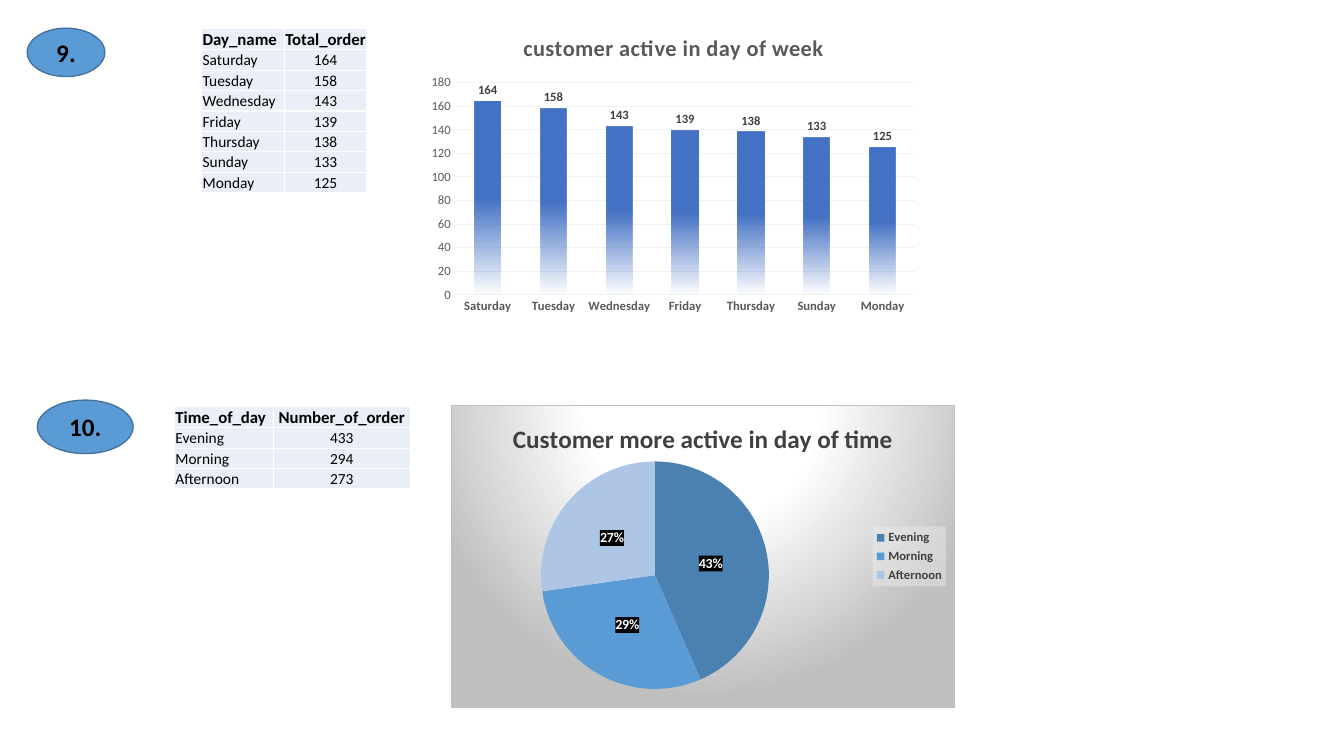
from lxml import etree
from pptx import Presentation
from pptx.chart.data import CategoryChartData
from pptx.dml.color import RGBColor
from pptx.enum.chart import XL_CHART_TYPE, XL_LABEL_POSITION, XL_LEGEND_POSITION, XL_TICK_MARK
from pptx.enum.shapes import MSO_SHAPE
from pptx.enum.text import MSO_ANCHOR, PP_ALIGN
from pptx.oxml import parse_xml
from pptx.oxml.ns import qn
from pptx.util import Inches, Pt

COLUMN, PIE = XL_CHART_TYPE.COLUMN_CLUSTERED, XL_CHART_TYPE.PIE
ABOVE, MIDDLE = XL_LABEL_POSITION.OUTSIDE_END, XL_LABEL_POSITION.CENTER
NO_TICK = XL_TICK_MARK.NONE
LEFT, CENTER = PP_ALIGN.LEFT, PP_ALIGN.CENTER
FONT = "Calibri"
NAMESPACES = ('xmlns:a="http://schemas.openxmlformats.org/drawingml/2006/main" '
              'xmlns:c="http://schemas.openxmlformats.org/drawingml/2006/chart"')

# Content
BADGES = [("9.", (0.27, 0.28, 0.77, 0.48)), ("10.", (0.37, 3.97, 0.95, 0.53))]
DAY_HEADER = ("Day_name", "Total_order")
DAYS = [("Saturday", 164), ("Tuesday", 158), ("Wednesday", 143), ("Friday", 139),
        ("Thursday", 138), ("Sunday", 133), ("Monday", 125)]
TIME_HEADER = ("Time_of_day", "Number_of_order")
TIMES = [("Evening", 433), ("Morning", 294), ("Afternoon", 273)]
TIME_SHARES = [("Evening", 43), ("Morning", 29), ("Afternoon", 27)]
SLICE_COLORS = ["4B81B1", "5B9BD5", "ADC6E5"]
TABLES = [(DAY_HEADER, DAYS, (2, 0.28), (0.82, 0.82), 1.62),
          (TIME_HEADER, TIMES, (1.73, 4.03), (0.98, 1.36), 0.81)]


def color(value):
    return RGBColor.from_string(value)


def style_font(font, size, value, bold=False):
    font.name, font.size, font.bold = FONT, Pt(size), bold
    font.color.rgb = color(value)


def solid_xml(value, alpha=100):
    return (f'<a:solidFill><a:srgbClr val="{value}">'
            f'<a:alpha val="{alpha * 1000}"/></a:srgbClr></a:solidFill>')


def gradient_xml(stops, direction):
    marks = "".join(f'<a:gs pos="{place * 1000}"><a:srgbClr val="{value}">'
                    f'<a:alpha val="{alpha * 1000}"/></a:srgbClr></a:gs>'
                    for place, value, alpha in stops)
    return f'<a:gradFill rotWithShape="1"><a:gsLst>{marks}</a:gsLst>{direction}</a:gradFill>'


def element(tag, inner):
    return parse_xml(f"<{tag} {NAMESPACES}>{inner}</{tag}>")


def add_badge(page, text, place):
    badge = page.shapes.add_shape(MSO_SHAPE.OVAL, *map(Inches, place))
    badge.shadow.inherit = False
    badge.fill.solid()
    badge.fill.fore_color.rgb = color("5B9BD5")
    badge.line.color.rgb = color("43739E")
    badge.line.width = Pt(1)
    badge.text_frame.vertical_anchor = MSO_ANCHOR.MIDDLE
    para = badge.text_frame.paragraphs[0]
    para.alignment = CENTER
    span = para.add_run()
    span.text = text
    style_font(span.font, 18, "000000", True)


def fill_cell(cell, text, size, bold, alignment):
    cell.margin_left = cell.margin_right = cell.margin_top = Inches(0.01)
    cell.margin_bottom = 0
    cell.vertical_anchor = MSO_ANCHOR.BOTTOM
    cell.fill.solid()
    cell.fill.fore_color.rgb = color("EAEFF7")
    properties = cell._tc.get_or_add_tcPr()
    for index, side in enumerate(("lnL", "lnR", "lnT", "lnB")):
        border = element(f"a:{side}", solid_xml("FFFFFF"))
        border.set("w", str(Pt(1)))
        properties.insert(index, border)
    para = cell.text_frame.paragraphs[0]
    para.alignment = alignment
    span = para.add_run()
    span.text = str(text)
    style_font(span.font, size, "000000", bold)


def add_order_table(page, header, records, corner, widths, height):
    rows = [header, *records]
    table = page.shapes.add_table(len(rows), len(widths), *map(Inches, corner),
                                  Inches(sum(widths)), Inches(height)).table
    table.first_row = table.horz_banding = False
    for column, width in zip(table.columns, widths):
        column.width = Inches(width)
    for row_index, values in enumerate(rows):
        table.rows[row_index].height = Inches(height / len(rows))
        is_header = row_index == 0
        for column_index, value in enumerate(values):
            fill_cell(table.cell(row_index, column_index), value, 12 if is_header else 11,
                      is_header, CENTER if column_index else LEFT)


def add_order_chart(page, kind, records, place, title, title_size, title_color):
    data = CategoryChartData()
    data.categories = [name for name, _ in records]
    data.add_series("Series 1", [value for _, value in records])
    chart = page.shapes.add_chart(kind, *map(Inches, place), data).chart
    style_font(chart.font, 10, "000000")
    chart.has_title = True
    chart.chart_title.include_in_layout = False
    span = chart.chart_title.text_frame.paragraphs[0].add_run()
    span.text = title
    style_font(span.font, title_size, title_color, True)
    chart.has_legend = False
    chart.plots[0].has_data_labels = True
    return chart, span


def style_axis(axis, bold):
    axis.major_tick_mark = axis.minor_tick_mark = NO_TICK
    axis.format.line.fill.background()
    style_font(axis.tick_labels.font, 9, "595959", bold)


def add_day_chart(page):
    chart, title = add_order_chart(page, COLUMN, DAYS, (4.18, 0.17, 5, 3),
                                   "customer active in day of week", 16, "595959")
    title.font._element.set("spc", "40")
    plot = chart.plots[0]
    plot.gap_width = 150
    plot.vary_by_categories = False
    style_axis(chart.category_axis, True)
    axis = chart.value_axis
    style_axis(axis, False)
    axis.minimum_scale, axis.maximum_scale, axis.major_unit = 0, 180, 20
    axis.has_major_gridlines = True
    axis.major_gridlines.format.line.color.rgb = color("F2F2F2")
    axis.major_gridlines.format.line.width = Pt(0.75)
    labels = plot.data_labels
    labels.show_value = True
    labels.position = ABOVE
    style_font(labels.font, 9, "404040", True)
    # Bars fade out towards the axis
    bars = plot.series[0].format.fill
    bars.solid()
    solid = plot.series[0]._element.find(qn("c:spPr")).find(qn("a:solidFill"))
    fade = gradient_xml([(50, "4472C4", 100), (100, "4472C4", 0)], '<a:lin ang="5400000" scaled="0"/>')
    solid.getparent().replace(solid, element("c:spPr", fade)[0])


def add_time_chart(page):
    chart, _ = add_order_chart(page, PIE, TIME_SHARES, (4.47, 4.02, 5, 3),
                               "Customer more active in day of time", 18, "404040")
    plot = chart.plots[0]
    for index, value in enumerate(SLICE_COLORS):
        fill = plot.series[0].points[index].format.fill
        fill.solid()
        fill.fore_color.rgb = color(value)
    labels = plot.data_labels
    labels.show_percentage, labels.show_value = True, False
    labels.number_format, labels.number_format_is_linked = "0%", False
    labels.position = MIDDLE
    style_font(labels.font, 10, "FFFFFF", True)
    chart.has_legend = True
    chart.legend.position = XL_LEGEND_POSITION.RIGHT
    chart.legend.include_in_layout = False
    style_font(chart.legend.font, 9, "404040", True)
    # Translucent panels behind labels and legend
    for part, value, alpha in ((labels, "000000", 75), (chart.legend, "F2F2F2", 39)):
        panel = element("c:spPr", solid_xml(value, alpha))
        part._element.find(qn("c:txPr")).addprevious(panel)
    # Radial backdrop with a thin border
    glow = gradient_xml([(0, "FFFFFF", 100), (39, "FFFFFF", 100), (100, "BFBFBF", 100)],
                        '<a:path path="circle"><a:fillToRect l="50000" t="-80000" '
                        'r="50000" b="180000"/></a:path>')
    border = f'<a:ln w="{Pt(0.75)}">{solid_xml("BFBFBF")}</a:ln>'
    space = chart._chartSpace
    space.find(qn("c:chart")).addnext(element("c:spPr", glow + border))
    # Fixed place of the pie
    area = space.find(qn("c:chart")).find(qn("c:plotArea"))
    for layout in area.findall(qn("c:layout")):
        area.remove(layout)
    manual = element("c:layout", "<c:manualLayout/>")
    settings = (("layoutTarget", "inner"), ("xMode", "edge"), ("yMode", "edge"),
                ("x", "0.02"), ("y", "0.185"), ("w", "0.77"), ("h", "0.755"))
    for name, value in settings:
        etree.SubElement(manual[0], qn(f"c:{name}"), val=value)
    area.insert(0, manual)


def main():
    deck = Presentation()
    deck.slide_width, deck.slide_height = Inches(13.33), Inches(7.5)
    page = deck.slides.add_slide(deck.slide_layouts[6])
    for table in TABLES:
        add_order_table(page, *table)
    add_day_chart(page)
    add_time_chart(page)
    for text, place in BADGES:
        add_badge(page, text, place)
    deck.save("out.pptx")


if __name__ == "__main__":
    main()
